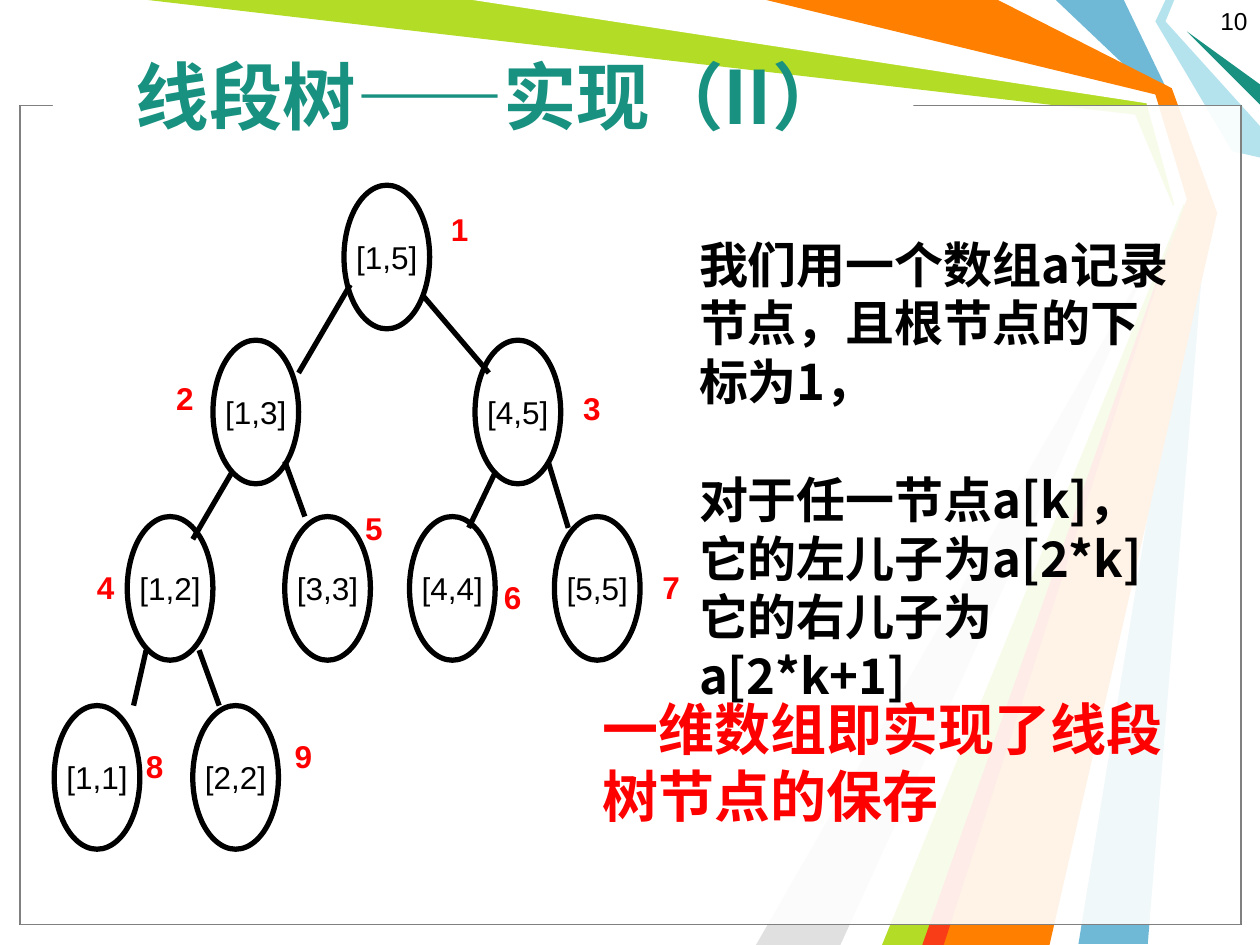
from dataclasses import dataclass

from lxml.etree import SubElement
from pptx import Presentation
from pptx.dml.color import RGBColor
from pptx.enum.shapes import MSO_CONNECTOR, MSO_SHAPE
from pptx.enum.text import MSO_ANCHOR, PP_ALIGN
from pptx.oxml.ns import qn
from pptx.util import Inches, Pt


@dataclass(frozen=True)
class Theme:
    """Colours, fonts and type sizes of the deck."""
    teal: str = "189180"
    sky: str = "6FB9D7"
    pale: str = "B4E3EE"
    lime: str = "B3DC27"
    orange: str = "FF7F00"
    scarlet: str = "F93D17"
    silver: str = "E0E0E0"
    grey: str = "808080"
    red: str = "FF0000"
    black: str = "000000"
    white: str = "FFFFFF"
    latin: str = "Arial"
    cjk: str = "Noto Sans CJK SC"
    title: int = 42
    summary: int = 32
    body: int = 28
    label: int = 18
    number: int = 14
    leading: float = 1.2


T = Theme()

RIBBONS = [
    (T.sky, [(8.92, 0), (9.29, 0.77), (9.58, 1.67), (9.11, 7.49), (8.56, 7.49),
             (9.5, 1.67), (9.17, 0.75), (8.38, 0)]),
    (T.lime, [(1.17, 0), (3.83, 0), (9.14, 0.78), (9.42, 1.69), (7.42, 7.5),
              (6.92, 7.5), (9.35, 1.73), (9.01, 0.91)]),
    (T.silver, [(6.67, 7.5), (9.27, 1.81), (6, 7.5)]),
    (T.white, [(3.75, 0), (9.1, 0.82), (9.32, 1.62), (6.75, 7.5), (7, 7.5),
               (9.41, 1.58), (9.17, 0.75), (6, 0)]),
    (T.pale, [(9.25, 0), (9.17, 0.17), (9.78, 1.2), (10, 1.25), (10, 1),
              (9.25, 0.17), (9.32, 0)]),
    (T.teal, [(10, 0.83), (9.42, 0.25), (10, 0.67)]),
    (T.orange, [(6.08, 0), (7.92, 0), (9.3, 0.7), (9.66, 1.69), (8.33, 7.5),
                (7.33, 7.5), (9.42, 1.58), (9.17, 0.75)]),
    (T.scarlet, [(7.32, 7.5), (9.32, 1.83), (7.49, 7.5)]),
]

NODE_SIZE = (0.68, 1.14)
NODES = {
    1: ("[1,5]", (2.3, 0), (0.75, 0.15)),
    2: ("[1,3]", (1.26, 1.23), (-0.39, 0.26)),
    3: ("[4,5]", (3.34, 1.23), (0.76, 0.34)),
    4: ("[1,2]", (0.58, 2.63), (-0.34, 0.36)),
    5: ("[3,3]", (1.83, 2.63), (0.54, -0.11)),
    6: ("[4,4]", (2.82, 2.63), (0.65, 0.44)),
    7: ("[5,5]", (3.97, 2.63), (0.76, 0.36)),
    8: ("[1,1]", (0, 4.13), (0.63, 0.28)),
    9: ("[2,2]", (1.1, 4.13), (0.71, 0.2)),
}
EDGES = {
    2: ((0.05, 0.79), (0.68, 0.26)),
    3: ((0.63, 0.88), (0.11, 0.26)),
    4: ((0.15, 1.05), (0.52, 0.18)),
    5: ((0.57, 0.96), (0.16, 0)),
    6: ((0.16, 1.05), (0.47, 0.09)),
    7: ((0.58, 0.96), (0.11, 0.09)),
    8: ((0.15, 1.06), (0.63, 0)),
    9: ((0.57, 1.06), (0.21, 0)),
}
BODY = ["我们用一个数组a记录节点，且根节点的下标为1，", "对于任一节点a[k]，",
        "它的左儿子为a[2*k]", "它的右儿子为a[2*k+1]"]


def rgb(color):
    """Turn a hex string into a colour."""
    return RGBColor.from_string(color)


def shift(*points):
    """Add up points and return the sum in Inches."""
    return tuple(Inches(round(sum(axis), 2)) for axis in zip(*points))


def paint(sp, fill=None, line=None, width=0.75, opacity=None):
    """Set fill, outline and opacity of a shape and drop its shadow."""
    sp.shadow.inherit = False
    if fill:
        sp.fill.solid()
        sp.fill.fore_color.rgb = rgb(fill)
    else:
        sp.fill.background()
    if opacity:
        clr = sp._element.spPr.find(qn("a:solidFill")).find(qn("a:srgbClr"))
        SubElement(clr, qn("a:alpha"), val=str(opacity * 1000))
    if line:
        sp.line.color.rgb = rgb(line)
        sp.line.width = Pt(width)
    else:
        sp.line.fill.background()


def write(p, text, size, color, bold=False, font=T.latin):
    """Add one styled run to a paragraph."""
    r = p.add_run()
    r.text = text
    r.font.size, r.font.bold, r.font.name = Pt(size), bold, font
    r.font.color.rgb = rgb(color)
    SubElement(r._r.get_or_add_rPr(), qn("a:ea"), typeface=T.cjk)


def add_text(s, box, lines, size, color, bold=True, font=T.latin,
             align=PP_ALIGN.LEFT, anchor=MSO_ANCHOR.TOP, leading=None):
    """Place a wrapping text box with one paragraph per line."""
    tf = s.shapes.add_textbox(*map(Inches, box)).text_frame
    tf.word_wrap, tf.vertical_anchor = True, anchor
    for i, line in enumerate(lines):
        p = tf.add_paragraph() if i else tf.paragraphs[0]
        p.alignment = align
        if leading:
            p.line_spacing = Pt(round(size * leading, 1))
        write(p, line, size, color, bold, font)
    return tf


def add_backdrop(s, box):
    """Draw the ribbons, the translucent frame and the gap behind the title."""
    for color, points in RIBBONS:
        start, *rest = [shift(box[:2], point) for point in points]
        builder = s.shapes.build_freeform(*start, scale=1.0)
        builder.add_line_segments(rest, close=True)
        paint(builder.convert_to_shape(), color)
    frame = shift(box[:2], (0.16, 0.84)) + shift((9.69, 6.5))
    for line in (T.black, T.grey):
        sp = s.shapes.add_shape(MSO_SHAPE.RECTANGLE, *frame)
        paint(sp, T.white, line, opacity=69)
    gap = shift(box[:2], (0.42, 0.74)) + shift((6.83, 0.17))
    paint(s.shapes.add_shape(MSO_SHAPE.RECTANGLE, *gap), T.white)


def add_node(s, left, top, text):
    """Draw one oval node with its interval."""
    sp = s.shapes.add_shape(MSO_SHAPE.OVAL, left, top, *shift(NODE_SIZE))
    paint(sp, line=T.black, width=3)
    tf = sp.text_frame
    tf.word_wrap, tf.vertical_anchor = False, MSO_ANCHOR.MIDDLE
    p = tf.paragraphs[0]
    p.alignment = PP_ALIGN.CENTER
    write(p, text, T.label, T.black)


def add_tree(s, box):
    """Draw the segment tree, where node k hangs below node k // 2."""
    origin = box[:2]
    for text, pos, _ in NODES.values():
        add_node(s, *shift(origin, pos), text)
    for k, (start, end) in EDGES.items():
        line = s.shapes.add_connector(
            MSO_CONNECTOR.STRAIGHT, *shift(origin, NODES[k // 2][1], start),
            *shift(origin, NODES[k][1], end))
        line.line.color.rgb = rgb(T.black)
        line.line.width = Pt(3)
        SubElement(line._element.spPr, qn("a:effectLst"))
    for k, (_, pos, offset) in NODES.items():
        left, top = (sum(axis) for axis in zip(origin, pos, offset))
        add_text(s, (left, top, 0.34, 0.4), [str(k)], T.label, T.red)


def add_rules_column(s, box):
    """Write the array rules and the red conclusion below them."""
    left, top, width, height = box
    tf = add_text(s, (left + 0.77, top, width - 0.77, 3.84), BODY, T.body,
                  T.black, font=T.cjk, leading=T.leading)
    tf.paragraphs[1].space_before = Pt(T.body * T.leading)
    add_text(s, (left, top + 3.65, width, height - 3.65),
             ["一维数组即实现了线段树节点的保存"], T.summary, T.red,
             leading=T.leading)


def main():
    """Build the slide and save it."""
    prs = Presentation()
    prs.slide_width, prs.slide_height = Inches(10), Inches(7.5)
    s = prs.slides.add_slide(prs.slide_layouts[6])
    add_backdrop(s, (0, 0, 10, 7.5))
    add_text(s, (7.67, 0, 2.33, 0.52), ["10"], T.number, T.black, bold=False,
             align=PP_ALIGN.RIGHT)
    add_text(s, (0.98, 0.13, 7.4, 1.25), ["线段树——实现（II）"], T.title, T.teal,
             font=T.cjk, anchor=MSO_ANCHOR.MIDDLE)
    add_tree(s, (0.43, 1.47, 5.07, 5.27))
    add_rules_column(s, (4.68, 1.81, 4.81, 4.82))
    prs.save("out.pptx")


if __name__ == "__main__":
    main()
